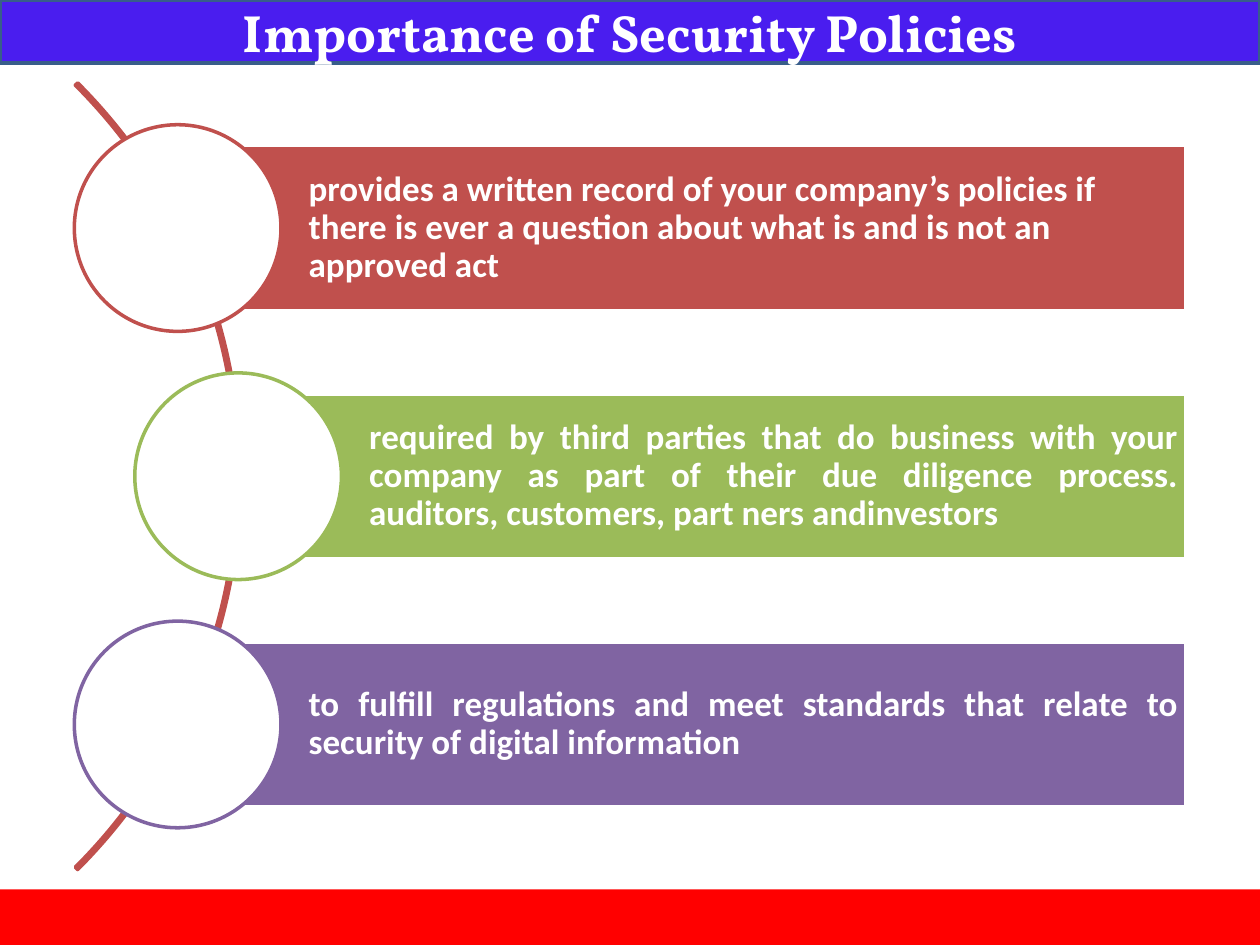
from pptx import Presentation
from pptx.dml.color import RGBColor
from pptx.enum.shapes import MSO_SHAPE
from pptx.enum.text import MSO_ANCHOR, PP_ALIGN
from pptx.util import Inches, Pt

RECT, OVAL, ARC = MSO_SHAPE.RECTANGLE, MSO_SHAPE.OVAL, MSO_SHAPE.BLOCK_ARC
LEFT, CENTER, JUSTIFY = PP_ALIGN.LEFT, PP_ALIGN.CENTER, PP_ALIGN.JUSTIFY
WHITE, RED, GREEN, PURPLE = "FFFFFF", "C0504D", "9BBB59", "8064A2"
W, H = 10, 7.5

prs = Presentation()
prs.slide_width, prs.slide_height = Inches(W), Inches(H)
s = prs.slides.add_slide(prs.slide_layouts[6])


def add_shape(kind, x, y, w, h, fill=None, line=None):
    sp = s.shapes.add_shape(kind, Inches(x), Inches(y), Inches(w), Inches(h))
    sp.shadow.inherit = False
    if fill:
        sp.fill.solid()
        sp.fill.fore_color.rgb = RGBColor.from_string(fill)
    else:
        sp.fill.background()
    if line:
        sp.line.color.rgb = RGBColor.from_string(line)
        sp.line.width = Pt(2)
    else:
        sp.line.fill.background()
    return sp


def set_text(sp, text, font="Calibri", size=20, align=LEFT, spacing=1.0,
             insets=(0.1, 0.05, 0.1, 0.05)):
    tf = sp.text_frame
    tf.word_wrap = True
    tf.vertical_anchor = MSO_ANCHOR.MIDDLE
    (tf.margin_left, tf.margin_top,
     tf.margin_right, tf.margin_bottom) = map(Inches, insets)
    p = tf.paragraphs[0]
    p.alignment, p.line_spacing = align, spacing
    r = p.add_run()
    r.text = text
    r.font.name, r.font.size, r.font.bold = font, Pt(size), True
    r.font.color.rgb = RGBColor.from_string(WHITE)


# Arc behind the circles, from 315 to 45 degrees
arc_size, mid_y = 8.83, 3.78
arc = add_shape(ARC, -6.92, mid_y - arc_size / 2, arc_size, arc_size, line=RED)
for i, value in enumerate((189, 27, 0.003)):
    arc.adjustments[i] = value

# Three policy rows: a bar with a circle over its left end
bar_right, bar_h, circle, row_step = 9.41, 1.31, 1.64, 1.97
rows = [
    (1.41, RED, LEFT, "provides a written record of your company’s policies if "
     "there is ever a question about what is and is not an approved act"),
    (1.89, GREEN, JUSTIFY, "required by third parties that do business with your "
     "company as part of their due diligence process. auditors, customers, "
     "part ners andinvestors"),
    (1.41, PURPLE, JUSTIFY, "to fulfill regulations and meet standards that "
     "relate to security of digital information"),
]
for i, (x, color, align, text) in enumerate(rows):
    y = mid_y + (i - 1) * row_step
    bar = add_shape(RECT, x, y - bar_h / 2, bar_right - x, bar_h, color, WHITE)
    set_text(bar, text, align=align, spacing=0.9,
             insets=(1.04, 0.06, 0.06, 0.06))
    add_shape(OVAL, x - circle / 2, y - circle / 2, circle, circle, WHITE, color)

# Title band and footer band
title = add_shape(RECT, 0, 0, W, 0.5, "4A1DEF", "385D8A")
set_text(title, "Importance of Security Policies", "Vollkorn", 30, CENTER)
add_shape(RECT, 0, H - 0.44, W, 0.44, "FF0000")

prs.save("out.pptx")
